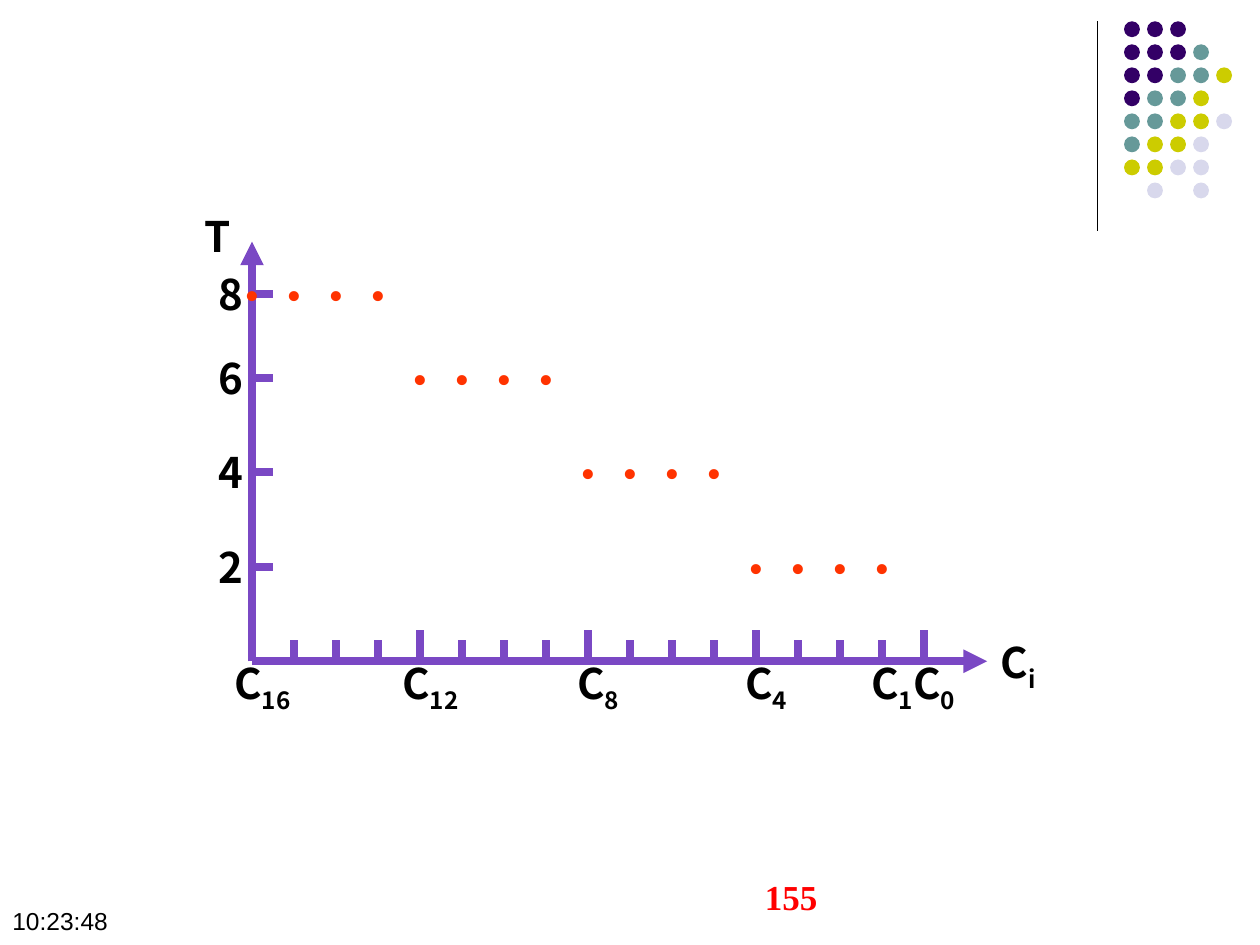
from dataclasses import dataclass

from lxml import etree
from pptx import Presentation
from pptx.dml.color import RGBColor
from pptx.enum.shapes import MSO_CONNECTOR, MSO_SHAPE
from pptx.enum.text import MSO_ANCHOR, PP_ALIGN
from pptx.oxml.ns import qn
from pptx.util import Cm, Pt

STRAIGHT = MSO_CONNECTOR.STRAIGHT
ELLIPSE = MSO_SHAPE.OVAL
LEFT, CENTER, RIGHT = PP_ALIGN.LEFT, PP_ALIGN.CENTER, PP_ALIGN.RIGHT
TOP, BOTTOM = MSO_ANCHOR.TOP, MSO_ANCHOR.BOTTOM

COLORS = {
    "ink": "000000", "axis": "7A48C4", "point": "FF3300", "number": "FF0000",
    "P": "330066", "T": "669999", "Y": "CCCC00", "L": "D8D8EC",
}

# Chart geometry in centimetres
ORIGIN_X, ORIGIN_Y = 5.08, 13.33
STEP = 2.54 / 3
LEVELS = {8: 5.93, 6: 7.62, 4: 9.52, 2: 11.43}
BOX_HEIGHT = 1.27
TICK_COUNT = 16

# Corner ornament: one letter per dot colour
DOT_ROWS = ["PPP", "PPPT", "PPTTY", "PTTY", "TTYYL", "TYYL", "YYLL", " L L"]
DOT_PITCH = 3.25 / 7


@dataclass
class Painter:
    page: object
    label_font: str = "Noto Sans CJK SC"
    serif_font: str = "Times New Roman"
    plain_font: str = "Arial"
    label_size: int = 24

    def color(self, name):
        return RGBColor.from_string(COLORS[name])

    def line(self, x1, y1, x2, y2, color="axis", width=4.5, arrow=False):
        line = self.page.shapes.add_connector(
            STRAIGHT, Cm(x1), Cm(y1), Cm(x2), Cm(y2))
        line.line.color.rgb = self.color(color)
        line.line.width = Pt(width)
        if arrow:
            stroke = line.line._get_or_add_ln()
            etree.SubElement(stroke, qn("a:tailEnd"), type="triangle")
        etree.SubElement(line._element.spPr, qn("a:effectLst"))

    def dot(self, x, y, size, color):
        dot = self.page.shapes.add_shape(
            ELLIPSE, Cm(x), Cm(y), Cm(size), Cm(size))
        dot.shadow.inherit = False
        dot.fill.solid()
        dot.fill.fore_color.rgb = self.color(color)
        dot.line.fill.background()

    def text(self, x, y, width, height, words, font, size, color="ink",
             bold=False, align=LEFT, anchor=TOP, subscript=""):
        box = self.page.shapes.add_textbox(
            Cm(x), Cm(y), Cm(width), Cm(height))
        frame = box.text_frame
        frame.word_wrap = True
        frame.vertical_anchor = anchor
        para = frame.paragraphs[0]
        para.alignment = align
        for part in filter(None, (words, subscript)):
            span = para.add_run()
            span.text = part
            span.font.name = font
            span.font.size = Pt(size)
            span.font.bold = bold
            span.font.color.rgb = self.color(color)
            if part is subscript:
                span.font._element.set("baseline", "-25000")

    def label(self, center, top, words, subscript="", width=2.96):
        self.text(center - width / 2, top, width, BOX_HEIGHT, words,
                  self.label_font, self.label_size, bold=True, align=CENTER,
                  subscript=subscript)

    def point(self, center, top, width=2.12):
        self.text(center - width / 2, top, width, BOX_HEIGHT, "•",
                  self.serif_font, self.label_size, "point", align=CENTER)


def main():
    deck = Presentation()
    deck.slide_width, deck.slide_height = Cm(25.4), Cm(19.05)
    page = deck.slides.add_slide(deck.slide_layouts[6])
    painter = Painter(page)

    # Corner ornament
    painter.line(22.12, 0.43, 22.12, 4.65, "ink", 0.75)
    for row, colors in enumerate(DOT_ROWS):
        for column, color in enumerate(colors):
            if color != " ":
                painter.dot(22.66 + column * DOT_PITCH,
                            0.43 + row * DOT_PITCH, 0.32, color)

    # Axes with their names
    painter.line(ORIGIN_X, ORIGIN_Y, 19.9, ORIGIN_Y, arrow=True)
    painter.line(ORIGIN_X, ORIGIN_Y, ORIGIN_X, 4.87, arrow=True)
    painter.label(20.53, 12.7, "C", "i")
    painter.label(4.39, 4.11, "T", width=1.48)

    # Horizontal ticks: every fourth one is longer
    for tick in range(1, TICK_COUNT + 1):
        x = ORIGIN_X + tick * STEP
        length = 0.42 if tick % 4 else 0.63
        painter.line(x, ORIGIN_Y - length, x, ORIGIN_Y)
    for index in (16, 12, 8, 4, 1, 0):
        x = ORIGIN_X + (TICK_COUNT - index) * STEP
        painter.label(x + 0.21, 13.12, "C", str(index))

    # Each level: tick, label and four points
    for row, (level, y) in enumerate(LEVELS.items()):
        top = y - BOX_HEIGHT / 2
        painter.line(ORIGIN_X, y, ORIGIN_X + 0.42, y)
        painter.label(4.66, top, str(level), width=1.27)
        for column in range(4):
            painter.point(ORIGIN_X + (row * 4 + column) * STEP, top)

    # Footer
    painter.text(8.68, 17.35, 8.05, 1.27, "155", painter.serif_font, 20,
                 "number", bold=True, align=RIGHT, anchor=BOTTOM)
    painter.text(0, 18.14, 5.69, 0.86, "10:23:48", painter.plain_font, 14)

    deck.save("out.pptx")


if __name__ == "__main__":
    main()
